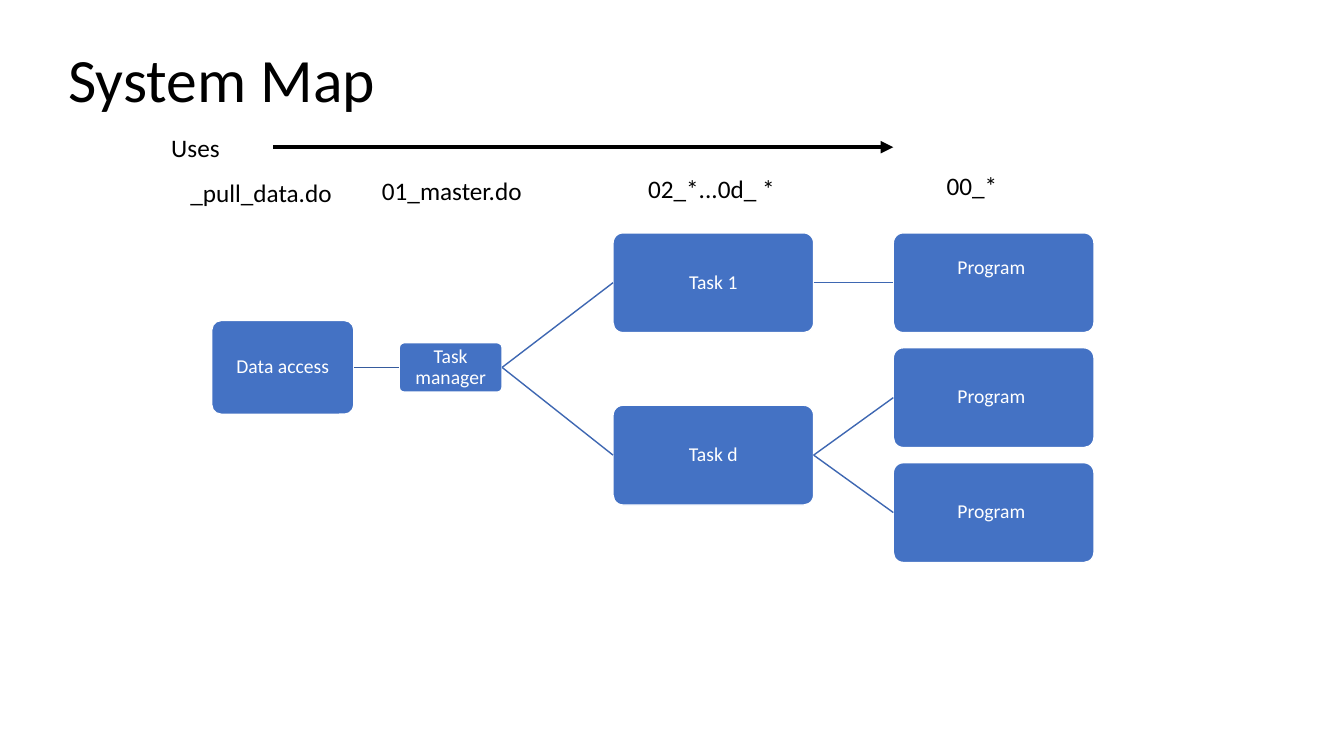
from lxml.etree import SubElement
from pptx import Presentation
from pptx.dml.color import RGBColor
from pptx.enum.shapes import MSO_CONNECTOR, MSO_SHAPE
from pptx.enum.text import MSO_ANCHOR, PP_ALIGN
from pptx.oxml.ns import qn
from pptx.util import Inches, Pt

BLUE, EDGE, FIRST = "4472C4", "3E67B2", "365B9D"
WHITE, BLACK = "FFFFFF", "000000"


def color(text):
    return RGBColor.from_string(text)


def write(frame, text, size=18, ink=BLACK, align=PP_ALIGN.LEFT,
          anchor=MSO_ANCHOR.TOP, space=1.0):
    frame.word_wrap = True
    frame.vertical_anchor = anchor
    para = frame.paragraphs[0]
    para.alignment = align
    para.line_spacing = space
    run = para.add_run()
    run.text = text
    run.font.name = "Calibri"
    run.font.size = Pt(size)
    run.font.color.rgb = color(ink)


def label(slide, text, x, y, w, h=0.4, **style):
    area = slide.shapes.add_textbox(Inches(x), Inches(y), Inches(w), Inches(h))
    write(area.text_frame, text, **style)


def box(slide, text, x, y, w=1.99, h=0.99, lift=0):
    """Add a rounded box; lift is extra bottom inset that raises its text."""
    shape = slide.shapes.add_shape(MSO_SHAPE.ROUNDED_RECTANGLE, Inches(x),
                                   Inches(y), Inches(w), Inches(h))
    shape.adjustments[0] = 0.1
    shape.shadow.inherit = False
    shape.fill.solid()
    shape.fill.fore_color.rgb = color(BLUE)
    shape.line.color.rgb = color(WHITE)
    shape.line.width = Pt(1)
    frame = shape.text_frame
    frame.margin_left = frame.margin_right = frame.margin_top = Inches(0.01)
    frame.margin_bottom = Inches(0.01 + lift)
    write(frame, text, size=14, ink=WHITE, align=PP_ALIGN.CENTER,
          anchor=MSO_ANCHOR.MIDDLE, space=0.9)
    return shape


def line(slide, ink, width, ends=(0, 0, 0, 0)):
    link = slide.shapes.add_connector(MSO_CONNECTOR.STRAIGHT,
                                      *[Inches(end) for end in ends])
    link.line.color.rgb = color(ink)
    link.line.width = Pt(width)
    SubElement(link._element.spPr, qn("a:effectLst"))
    return link


def join(slide, left, right, ink=EDGE):
    link = line(slide, ink, 1)
    link.begin_connect(left, 3)
    link.end_connect(right, 1)


def arrow(slide, *ends):
    link = line(slide, BLACK, 3, ends)
    SubElement(link.line._get_or_add_ln(), qn("a:tailEnd"), type="triangle")


def main():
    deck = Presentation()
    deck.slide_width, deck.slide_height = Inches(13.33), Inches(7.5)
    slide = deck.slides.add_slide(deck.slide_layouts[6])

    label(slide, "System Map", 0.58, 0.09, 11.5, 1.45, size=44,
          anchor=MSO_ANCHOR.MIDDLE, space=0.9)

    data = box(slide, "Data access", 2.1, 3.18, 1.41, 0.93)
    manager = box(slide, "Task manager", 3.96, 3.4, 1.02, 0.49)
    tasks = [box(slide, name, 6.08, y)
             for name, y in (("Task 1", 2.31), ("Task d", 4.02))]
    programs = [box(slide, "Program ", 8.86, 2.31 + 1.14 * row, lift=lift)
                for row, lift in enumerate((0.28, 0, 0))]

    join(slide, data, manager, FIRST)
    for task in tasks:
        join(slide, manager, task)
    for task, program in zip((tasks[0], tasks[1], tasks[1]), programs):
        join(slide, task, program)

    arrow(slide, 2.71, 1.46, 8.86, 1.46)
    for text, x, y, w in (("Uses", 1.6, 1.26, 1.21),
                          ("_pull_data.do", 1.79, 1.71, 1.76),
                          ("01_master.do", 3.69, 1.69, 1.76),
                          ("02_*...0d_ *", 6.33, 1.67, 1.76),
                          ("00_*", 9.29, 1.64, 1.21)):
        label(slide, text, x, y, w)

    deck.save("out.pptx")


if __name__ == "__main__":
    main()
